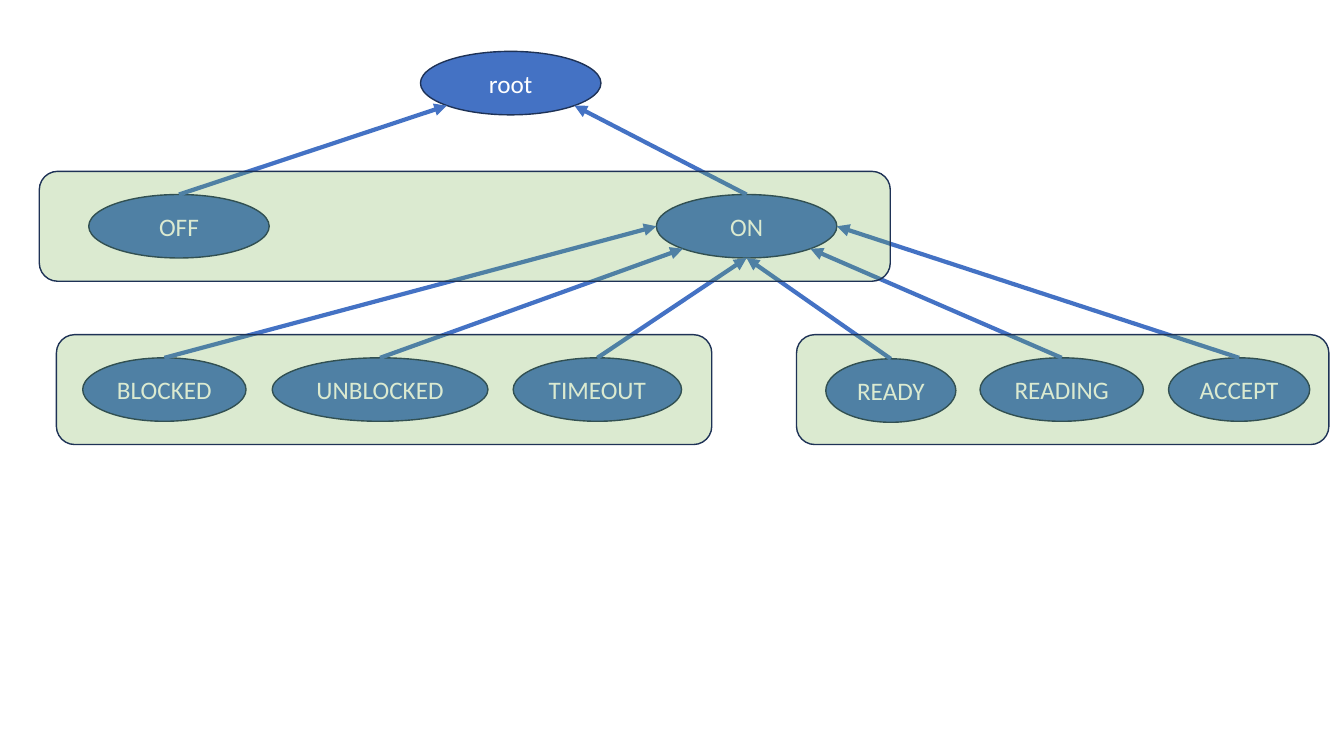
from math import cos, radians, sin

from lxml import etree
from pptx import Presentation
from pptx.dml.color import RGBColor
from pptx.enum.shapes import MSO_CONNECTOR, MSO_SHAPE
from pptx.enum.text import MSO_ANCHOR, PP_ALIGN
from pptx.oxml.ns import qn
from pptx.util import Inches, Pt

ELLIPSE, PANEL = MSO_SHAPE.OVAL, MSO_SHAPE.ROUNDED_RECTANGLE
STRAIGHT = MSO_CONNECTOR.STRAIGHT
CENTER, MIDDLE = PP_ALIGN.CENTER, MSO_ANCHOR.MIDDLE
COLORS = {"state": "4472C4", "outline": "1E3256", "panel": "70AD47", "text": "FFFFFF"}

# States: name, left, top, width
ROOT_TOP, POWER_TOP, DETAIL_TOP = 0.51, 1.93, 3.55
STATE_H = 0.63
STATES = [
    ("root", 4.17, ROOT_TOP, 1.79),
    ("OFF", 0.88, POWER_TOP, 1.79),
    ("ON", 6.51, POWER_TOP, 1.79),
    ("BLOCKED", 0.82, DETAIL_TOP, 1.62),
    ("UNBLOCKED", 2.7, DETAIL_TOP, 2.14),
    ("TIMEOUT", 5.09, DETAIL_TOP, 1.67),
    ("READY", 8.19, DETAIL_TOP + 0.01, 1.29),
    ("READING", 9.72, DETAIL_TOP, 1.62),
    ("ACCEPT", 11.59, DETAIL_TOP, 1.4),
]

# Arrows: child, parent, connection site on the parent
TOP, LEFT, BOTTOM_LEFT, BOTTOM, BOTTOM_RIGHT, RIGHT = 0, 2, 3, 4, 5, 6
ARROWS = [
    ("OFF", "root", BOTTOM_LEFT),
    ("ON", "root", BOTTOM_RIGHT),
    ("BLOCKED", "ON", LEFT),
    ("UNBLOCKED", "ON", BOTTOM_LEFT),
    ("TIMEOUT", "ON", BOTTOM),
    ("READY", "ON", BOTTOM),
    ("READING", "ON", BOTTOM_RIGHT),
    ("ACCEPT", "ON", RIGHT),
]

# Panels: left, top of the states inside, width
PANEL_H = 1.09
PANELS = [(0.39, POWER_TOP, 8.44), (0.56, DETAIL_TOP, 6.5), (7.9, DETAIL_TOP, 5.28)]
PANEL_ALPHA = 25


def rgb(name):
    return RGBColor.from_string(COLORS[name])


def add_outlined(kind, left, top, width, height, fill):
    sp = slide.shapes.add_shape(kind, *map(Inches, (left, top, width, height)))
    sp.shadow.inherit = False
    sp.fill.solid()
    sp.fill.fore_color.rgb = rgb(fill)
    sp.line.color.rgb = rgb("outline")
    sp.line.width = Pt(1)
    return sp


def add_state(name, left, top, width):
    sp = add_outlined(ELLIPSE, left, top, width, STATE_H, "state")
    tf = sp.text_frame
    tf.word_wrap = False
    tf.vertical_anchor = MIDDLE
    p = tf.paragraphs[0]
    p.text = name
    p.alignment = CENTER
    p.font.name, p.font.size = "Calibri", Pt(18)
    p.font.color.rgb = rgb("text")
    return sp


def site_point(sp, site):
    """Ellipse sites run counterclockwise from the top, 45 degrees apart."""
    angle = radians(45 * site)
    x = sp.left + sp.width / 2 * (1 - sin(angle))
    y = sp.top + sp.height / 2 * (1 - cos(angle))
    return round(x), round(y)


def add_arrow(child, parent, site):
    line = slide.shapes.add_connector(
        STRAIGHT, *site_point(child, TOP), *site_point(parent, site))
    line.begin_connect(child, TOP)
    glue = line._element.find(".//" + qn("p:cNvCxnSpPr"))
    etree.SubElement(glue, qn("a:endCxn"), id=str(parent.shape_id), idx=str(site))
    line.line.color.rgb = rgb("state")
    line.line.width = Pt(3)
    etree.SubElement(line.line._get_or_add_ln(), qn("a:tailEnd"), type="triangle")
    etree.SubElement(line._element.spPr, qn("a:effectLst"))


prs = Presentation()
prs.slide_width, prs.slide_height = Inches(13.33), Inches(7.5)
slide = prs.slides.add_slide(prs.slide_layouts[6])

# State tree
states = {state[0]: add_state(*state) for state in STATES}
for child, parent, site in ARROWS:
    add_arrow(states[child], states[parent], site)

# Translucent panels in front, centred on their row of states
for left, row_top, width in PANELS:
    top = row_top - (PANEL_H - STATE_H) / 2
    sp = add_outlined(PANEL, left, top, width, PANEL_H, "panel")
    color = sp._element.spPr.find(qn("a:solidFill")).find(qn("a:srgbClr"))
    etree.SubElement(color, qn("a:alpha"), val=str(PANEL_ALPHA * 1000))

prs.save("out.pptx")
